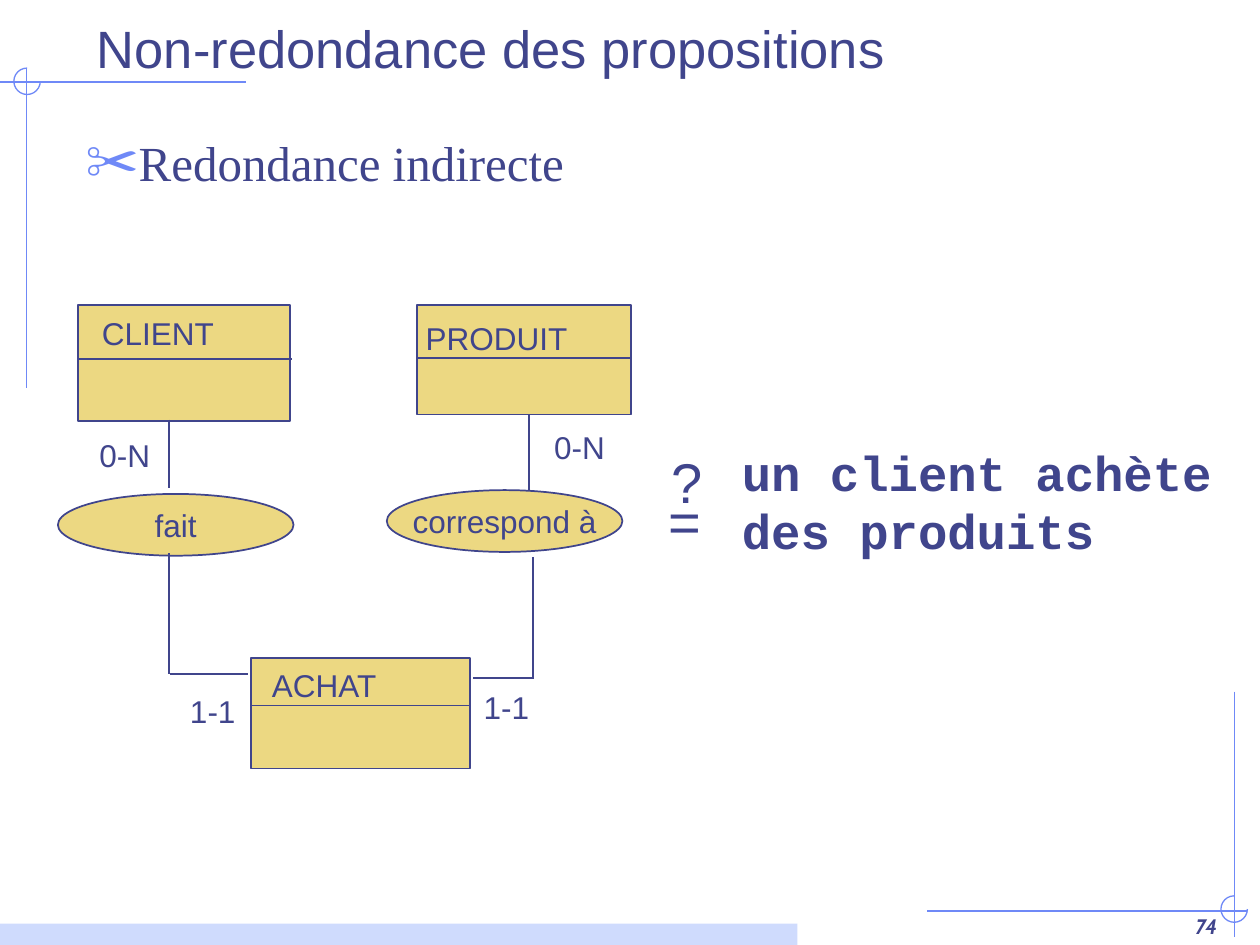
import dataclasses

import lxml.etree
import pptx
import pptx.dml.color
import pptx.enum.shapes
import pptx.enum.text
import pptx.oxml.ns
import pptx.util

Inches = pptx.util.Inches
Pt = pptx.util.Pt
RGBColor = pptx.dml.color.RGBColor
Kind = pptx.enum.shapes.MSO_SHAPE
Align = pptx.enum.text.PP_ALIGN
Anchor = pptx.enum.text.MSO_ANCHOR
Fit = pptx.enum.text.MSO_AUTO_SIZE
qn = pptx.oxml.ns.qn

INK = RGBColor(0x40, 0x45, 0x8C)
GOLD = RGBColor(0xEC, 0xD8, 0x82)
BLUE = RGBColor(0x6F, 0x89, 0xF7)
PALE = RGBColor(0xCF, 0xDB, 0xFD)


@dataclasses.dataclass
class Line:
    x1: float
    y1: float
    x2: float
    y2: float
    color: RGBColor = INK
    width: float = 1


@dataclasses.dataclass
class Label:
    text: str
    x: float
    y: float
    w: float
    h: float = 0.4
    size: float = 18
    font: str = "Arial"
    bold: bool = False
    slant: bool = False
    align: Align = Align.LEFT
    anchor: Anchor = Anchor.TOP
    wrap: bool = False


@dataclasses.dataclass
class Table:
    x: float
    y: float
    w: float
    h: float
    rule: Line
    name: Label


@dataclasses.dataclass
class Oval:
    text: str
    x: float
    y: float
    w: float = 1.87
    h: float = 0.49


TABLES = [
    Table(0.62, 2.42, 1.68, 0.92, Line(0.62, 2.85, 2.32, 2.85), Label("CLIENT", 0.71, 2.44, 1.09)),
    Table(3.31, 2.42, 1.7, 0.87, Line(3.31, 2.84, 5.01, 2.84), Label("PRODUIT", 3.28, 2.48, 1.4)),
    Table(1.99, 5.22, 1.74, 0.88, Line(1.99, 5.6, 3.72, 5.6), Label("ACHAT", 2.06, 5.24, 1.05)),
]
OVALS = [Oval("fait", 0.46, 3.92), Oval("correspond à", 3.07, 3.89)]
LINKS = [
    Line(1.34, 3.33, 1.34, 3.87),
    Line(1.34, 4.39, 1.34, 5.35),
    Line(1.35, 5.35, 1.97, 5.35),
    Line(4.2, 3.89, 4.2, 3.29),
    Line(4.23, 4.42, 4.23, 5.37),
    Line(4.24, 5.38, 3.75, 5.38),
]
FRAME = [
    Line(1.95, 0.65, 0, 0.65, BLUE, 0.75),
    Line(0.21, 0.55, 0.21, 3.08, BLUE, 0.75),
    Line(9.8, 5.49, 9.8, 7.44, BLUE, 0.75),
    Line(9.9, 7.23, 7.36, 7.23, BLUE, 0.75),
]
ARCS = [(0.11, 0.54), (9.69, 7.11)]
LABELS = [
    Label("74", 7.68, 7, 2.08, 0.5, 12, "Cabin", True, True, Align.RIGHT, Anchor.BOTTOM, True),
    Label("Non-redondance des propositions", 0.67, 0.01, 9.08, 0.67, 30,
          anchor=Anchor.BOTTOM, wrap=True),
    Label("1-1", 1.41, 5.44, 0.56),
    Label("1-1", 3.74, 5.41, 0.56),
    Label("0-N", 4.3, 3.35, 0.6),
    Label("0-N", 0.69, 3.41, 0.6),
    Label("un client achète\ndes produits", 5.79, 3.46, 3.93, 1.04, 28, "Courier New", True),
    Label("=", 5.21, 3.81, 0.46, 0.64, 32),
    Label("?", 5.23, 3.5, 0.45, 0.64, 32),
]
TOPIC = Label("Redondance indirecte", 0.58, 1, 8.92, 6.01, 28, "Times New Roman",
              align=Align.JUSTIFY, wrap=True)


def draw_line(slide, line: Line) -> None:
    link = slide.shapes.add_connector(
        pptx.enum.shapes.MSO_CONNECTOR.STRAIGHT,
        Inches(line.x1), Inches(line.y1), Inches(line.x2), Inches(line.y2))
    link.line.color.rgb = line.color
    link.line.width = Pt(line.width)
    lxml.etree.SubElement(link._element.spPr, qn("a:effectLst"))


def draw_shape(slide, kind: Kind, x: float, y: float, w: float, h: float,
               fill: RGBColor | None, edge: RGBColor | None, width: float = 1):
    shape = slide.shapes.add_shape(kind, Inches(x), Inches(y), Inches(w), Inches(h))
    shape.shadow.inherit = False
    if fill is None:
        shape.fill.background()
    else:
        shape.fill.solid()
        shape.fill.fore_color.rgb = fill
    if edge is None:
        shape.line.fill.background()
    else:
        shape.line.color.rgb = edge
        shape.line.width = Pt(width)
    return shape


def write(shape, label: Label):
    frame = shape.text_frame
    frame.word_wrap = label.wrap
    frame.vertical_anchor = label.anchor
    para = frame.paragraphs[0]
    para.alignment = label.align
    for i, text in enumerate(label.text.split("\n")):
        if i:
            para.add_line_break()
        run = para.add_run()
        run.text = text
        run.font.size = Pt(label.size)
        run.font.name = label.font
        run.font.bold = label.bold
        run.font.italic = label.slant
        run.font.color.rgb = INK
    return para


def draw_label(slide, label: Label):
    box = slide.shapes.add_textbox(
        Inches(label.x), Inches(label.y), Inches(label.w), Inches(label.h))
    box.text_frame.auto_size = Fit.NONE if label.wrap else Fit.SHAPE_TO_FIT_TEXT
    return write(box, label)


def draw_table(slide, table: Table) -> None:
    draw_shape(slide, Kind.RECTANGLE, table.x, table.y, table.w, table.h, GOLD, INK)
    draw_line(slide, table.rule)
    draw_label(slide, table.name)


def draw_oval(slide, oval: Oval) -> None:
    shape = draw_shape(slide, Kind.OVAL, oval.x, oval.y, oval.w, oval.h, GOLD, INK)
    write(shape, Label(oval.text, oval.x, oval.y, oval.w, oval.h,
                       align=Align.CENTER, anchor=Anchor.MIDDLE))


def draw_arc(slide, x: float, y: float) -> None:
    arc = draw_shape(slide, Kind.ARC, x, y, 0.21, 0.21, None, BLUE, 0.75)
    arc.adjustments[0] = 0
    arc.adjustments[1] = 162


def add_bullet(para, mark: str, color: RGBColor) -> None:
    props = para._p.get_or_add_pPr()
    props.set("marL", str(Inches(0.38)))
    props.set("indent", str(Inches(-0.38)))
    tint = lxml.etree.SubElement(props, qn("a:buClr"))
    lxml.etree.SubElement(tint, qn("a:srgbClr"), val=str(color))
    lxml.etree.SubElement(props, qn("a:buSzPct"), val="110000")
    lxml.etree.SubElement(props, qn("a:buFont"), typeface="Arial")
    lxml.etree.SubElement(props, qn("a:buChar"), char=mark)


def main() -> None:
    deck = pptx.Presentation()
    deck.slide_width = Inches(10)
    deck.slide_height = Inches(7.5)
    slide = deck.slides.add_slide(deck.slide_layouts[6])
    for line in FRAME:
        draw_line(slide, line)
    for x, y in ARCS:
        draw_arc(slide, x, y)
    draw_shape(slide, Kind.RECTANGLE, 0, 7.33, 6.33, 0.17, PALE, None)
    add_bullet(draw_label(slide, TOPIC), "✂", BLUE)
    for table in TABLES:
        draw_table(slide, table)
    for oval in OVALS:
        draw_oval(slide, oval)
    for link in LINKS:
        draw_line(slide, link)
    for label in LABELS:
        draw_label(slide, label)
    deck.save("out.pptx")


if __name__ == "__main__":
    main()
